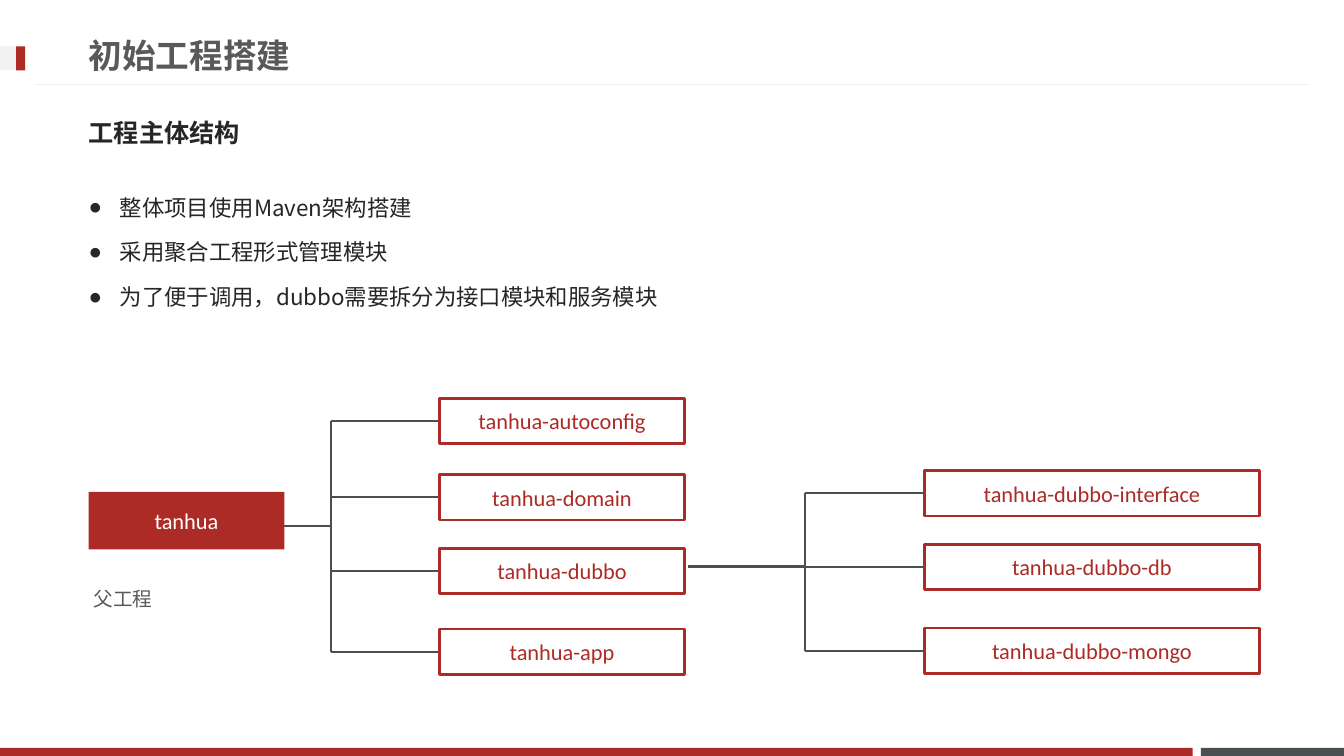
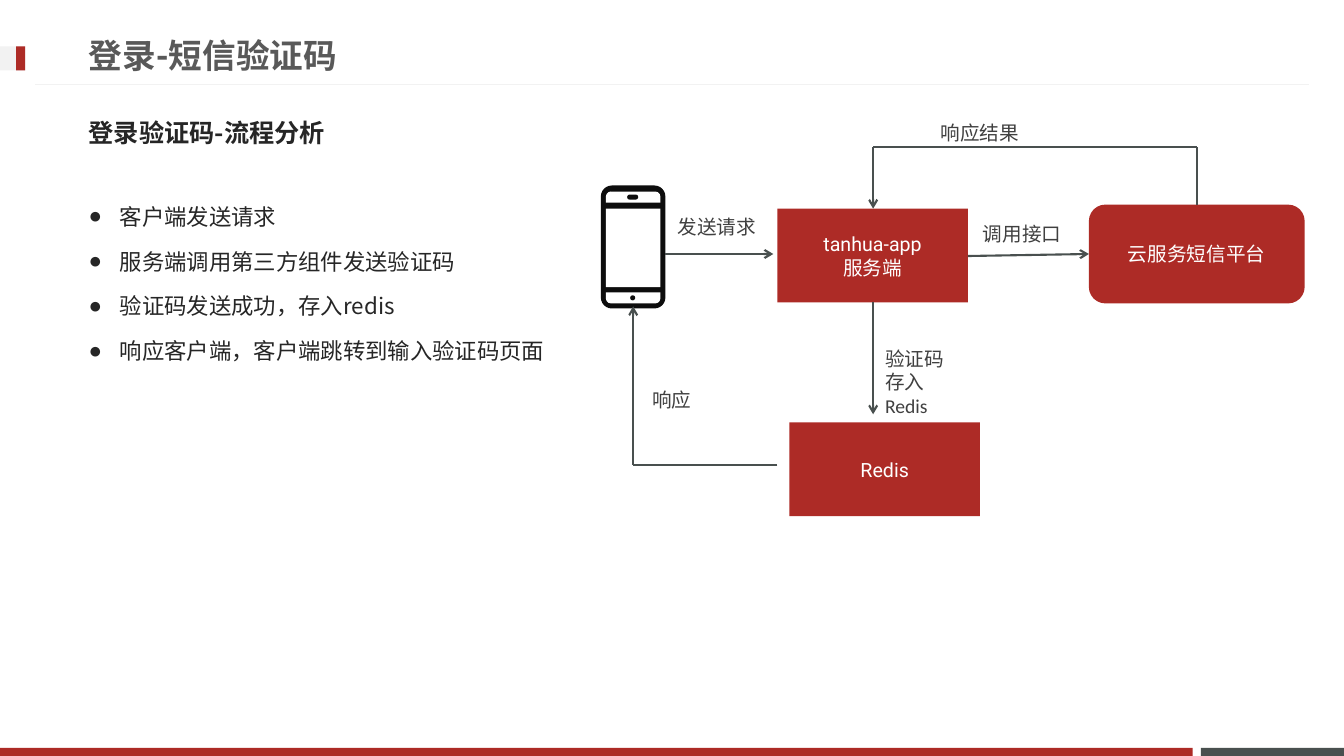
from itertools import pairwise

from lxml import etree
from pptx import Presentation
from pptx import util as u
from pptx.dml.color import RGBColor
from pptx.enum import lang, shapes, text
from pptx.oxml import ns


class Theme:
    red = "AD2B26"
    slate = "49504F"
    pale = "F2F2F2"
    white = "FFFFFF"
    ink = "262626"
    grey = "595959"
    note = "404040"
    black = "0D0D0D"
    sans = "Calibri"
    head = "Roboto"
    han = "Noto Sans CJK JP"
    big, mid, base, small = 24, 18, 16, 14
    rule = 1.5


KIND = shapes.MSO_SHAPE


def color(code):
    return RGBColor.from_string(code)


def inch(*sizes):
    return [u.Inches(size) for size in sizes]


def place(shape, *area):
    shape.left, shape.top, shape.width, shape.height = inch(*area)


def style(frame, size, font, ink, bold=False, align=None):
    for para in frame.paragraphs:
        para.alignment = align
        for run in para.runs:
            run.font.size = u.Pt(size)
            run.font.name = font
            run.font.bold = bold
            run.font.color.rgb = color(ink)
            run.font.language_id = lang.MSO_LANGUAGE_ID.SIMPLIFIED_CHINESE


def mark(para, char=None):
    props = para._p.get_or_add_pPr()
    inset = u.Inches(0.31) if char else 0
    props.set("marL", str(inset))
    props.set("indent", str(-inset))
    if char:
        etree.SubElement(props, ns.qn("a:buChar")).set("char", char)
    else:
        etree.SubElement(props, ns.qn("a:buNone"))


def block(slide, area, fill, kind=KIND.RECTANGLE, edge=None):
    shape = slide.shapes.add_shape(kind, *inch(*area))
    shape.shadow.inherit = False
    shape.fill.solid()
    shape.fill.fore_color.rgb = color(fill)
    if edge:
        shape.line.color.rgb = color(edge)
        shape.line.width = u.Pt(2)
    else:
        shape.line.fill.background()
    return shape


def box(slide, words, area, size=Theme.small, font=Theme.sans,
        fill=Theme.red, ink=Theme.white, edge=None, kind=KIND.RECTANGLE):
    shape = block(slide, area, fill, kind, edge)
    frame = shape.text_frame
    frame.text = words
    frame.vertical_anchor = text.MSO_ANCHOR.MIDDLE
    style(frame, size, font, ink, align=text.PP_ALIGN.CENTER)


def label(slide, words, area, font=Theme.sans, ink=Theme.note):
    frame = slide.shapes.add_textbox(*inch(*area)).text_frame
    frame.word_wrap = True
    frame.text = words
    style(frame, Theme.small, font, ink)


def line(slide, start, end, ink=Theme.slate, width=Theme.rule, arrow=False):
    link = slide.shapes.add_connector(
        shapes.MSO_CONNECTOR.STRAIGHT, *inch(*start, *end))
    link.line.color.rgb = color(ink)
    link.line.width = u.Pt(width)
    if arrow:
        tail = etree.SubElement(link.line._get_or_add_ln(), ns.qn("a:tailEnd"))
        tail.set("type", "arrow")
    etree.SubElement(link.element.spPr, ns.qn("a:effectLst"))
    return link


def route(slide, *points):
    legs = list(pairwise(points))
    for step, (start, end) in enumerate(legs, 1):
        line(slide, start, end, arrow=step == len(legs))


def frame_up(layout, slide):
    parts = [
        block(slide, (11.91, 7.42, 1.42, 0.08), Theme.slate),
        block(slide, (0, 7.42, 11.83, 0.08), Theme.red),
        line(slide, (0.35, 0.84), (12.98, 0.84), Theme.pale, 0.75),
        block(slide, (0, 0.46, 0.25, 0.24), Theme.pale),
        block(slide, (0.16, 0.46, 0.09, 0.24), Theme.red),
    ]
    for number, part in enumerate(parts, 100):
        part.element.xpath(".//p:cNvPr")[0].set("id", str(number))
        layout.shapes.element.append(part.element)


def set_layout(layout):
    title, sub, body = list(layout.placeholders)[:3]
    place(title, 0.78, 0.26, 9.59, 0.57)
    place(sub, 0.78, 1.03, 11.7, 0.57)
    place(body, 0.78, 1.75, 11.7, 4.61)


def fill_in(slide, title, sub, items, top):
    head, lead, body = slide.placeholders
    for shape, words in ((head, title), (lead, sub), (body, "\n".join(items))):
        shape.text_frame.text = words
        shape.text_frame.auto_size = text.MSO_AUTO_SIZE.NONE
    for shape in (head, lead):
        shape.text_frame.vertical_anchor = text.MSO_ANCHOR.MIDDLE
    place(body, 0.78, top, 11.7, 4.61)
    mark(lead.text_frame.paragraphs[0])
    lead.text_frame.paragraphs[0].space_before = u.Pt(0)
    for rank, para in enumerate(body.text_frame.paragraphs):
        mark(para, "●")
        para.line_spacing = u.Pt(28)
        para.space_before = u.Pt(4 if rank else 0)
    left = text.PP_ALIGN.LEFT
    style(head.text_frame, Theme.big, Theme.head, Theme.grey, True, left)
    style(lead.text_frame, Theme.mid, Theme.han, Theme.ink, True, left)
    style(body.text_frame, Theme.base, Theme.han, Theme.ink, False, left)


def tree(slide, stem, spine, left, width, kids):
    tall = 0.45
    mids = [top + tall / 2 for _, top in kids]
    line(slide, stem, (spine, stem[1]))
    line(slide, (spine, mids[0]), (spine, mids[-1]))
    for (name, top), mid in zip(kids, mids):
        line(slide, (spine, mid), (left, mid))
        box(slide, name, (left, top, width, tall), Theme.base,
            fill=Theme.white, ink=Theme.red, edge=Theme.red)


def phone(slide, x, y):
    case = block(slide, (x, y, 0.64, 1.22), Theme.black, KIND.ROUNDED_RECTANGLE)
    case.adjustments[0] = 0.17
    block(slide, (x + 0.05, y + 0.23, 0.54, 0.78), Theme.white)
    for drop, curves in ((0.06, (0.45, 0)), (1.06, (0, 0.45))):
        strip = block(slide, (x + 0.05, y + drop, 0.54, 0.11), Theme.white,
                      KIND.ROUND_2_SAME_RECTANGLE)
        strip.adjustments[0], strip.adjustments[1] = curves
    slot = block(slide, (x + 0.26, y + 0.09, 0.11, 0.05), Theme.black,
                 KIND.ROUNDED_RECTANGLE)
    slot.adjustments[0] = 0.5
    block(slide, (x + 0.29, y + 1.09, 0.05, 0.05), Theme.black, KIND.OVAL)


def project(slide):
    fill_in(slide, "初始工程搭建", "工程主体结构", [
        "整体项目使用Maven架构搭建",
        "采用聚合工程形式管理模块",
        "为了便于调用，dubbo需要拆分为接口模块和服务模块",
    ], 1.75)
    box(slide, "tanhua", (0.88, 4.88, 1.94, 0.57), Theme.base)
    label(slide, "父工程", (0.83, 5.77, 1.5, 0.34), Theme.head, Theme.grey)
    tree(slide, (2.82, 5.22), 3.28, 4.36, 2.43, [
        ("tanhua-autoconfig", 3.95),
        ("tanhua-domain", 4.71),
        ("tanhua-dubbo", 5.44),
        ("tanhua-app", 6.24),
    ])
    tree(slide, (6.82, 5.62), 7.98, 9.17, 3.32, [
        ("tanhua-dubbo-interface", 4.67),
        ("tanhua-dubbo-db", 5.4),
        ("tanhua-dubbo-mongo", 6.23),
    ])


def login(slide):
    fill_in(slide, "登录-短信验证码", "登录验证码-流程分析", [
        "客户端发送请求",
        "服务端调用第三方组件发送验证码",
        "验证码发送成功，存入redis",
        "响应客户端，客户端跳转到输入验证码页面",
    ], 1.84)
    phone(slide, 5.96, 1.84)
    box(slide, "tanhua-app\n服务端", (7.71, 2.07, 1.89, 0.93), font=Theme.head)
    box(slide, "Redis", (7.83, 4.19, 1.89, 0.93), font=Theme.head)
    box(slide, "云服务短信平台", (10.8, 2.03, 2.14, 0.98),
        kind=KIND.ROUNDED_RECTANGLE)
    route(slide, (6.6, 2.52), (7.67, 2.52))
    route(slide, (9.6, 2.54), (10.8, 2.52))
    route(slide, (8.66, 3), (8.66, 4.11))
    route(slide, (11.87, 2.03), (11.87, 1.46), (8.66, 1.46), (8.66, 2.07))
    route(slide, (7.71, 4.61), (6.28, 4.61), (6.28, 3.04))
    for words, *area in (
        ("验证码\n存入Redis", 8.68, 3.39, 0.95, 0.8),
        ("响应结果", 9.23, 1.15, 1.05, 0.34),
        ("调用接口", 9.65, 2.15, 1.05, 0.34),
        ("响应", 6.37, 3.8, 0.65, 0.34),
        ("发送请求", 6.62, 2.08, 1.05, 0.34),
    ):
        label(slide, words, area)


def main():
    deck = Presentation()
    deck.slide_width, deck.slide_height = inch(13.33, 7.5)
    layout = deck.slide_layouts.get_by_name("Two Content")
    set_layout(layout)
    first, second = (deck.slides.add_slide(layout) for _ in range(2))
    frame_up(layout, first)
    project(first)
    login(second)
    deck.save("out.pptx")


if __name__ == "__main__":
    main()
